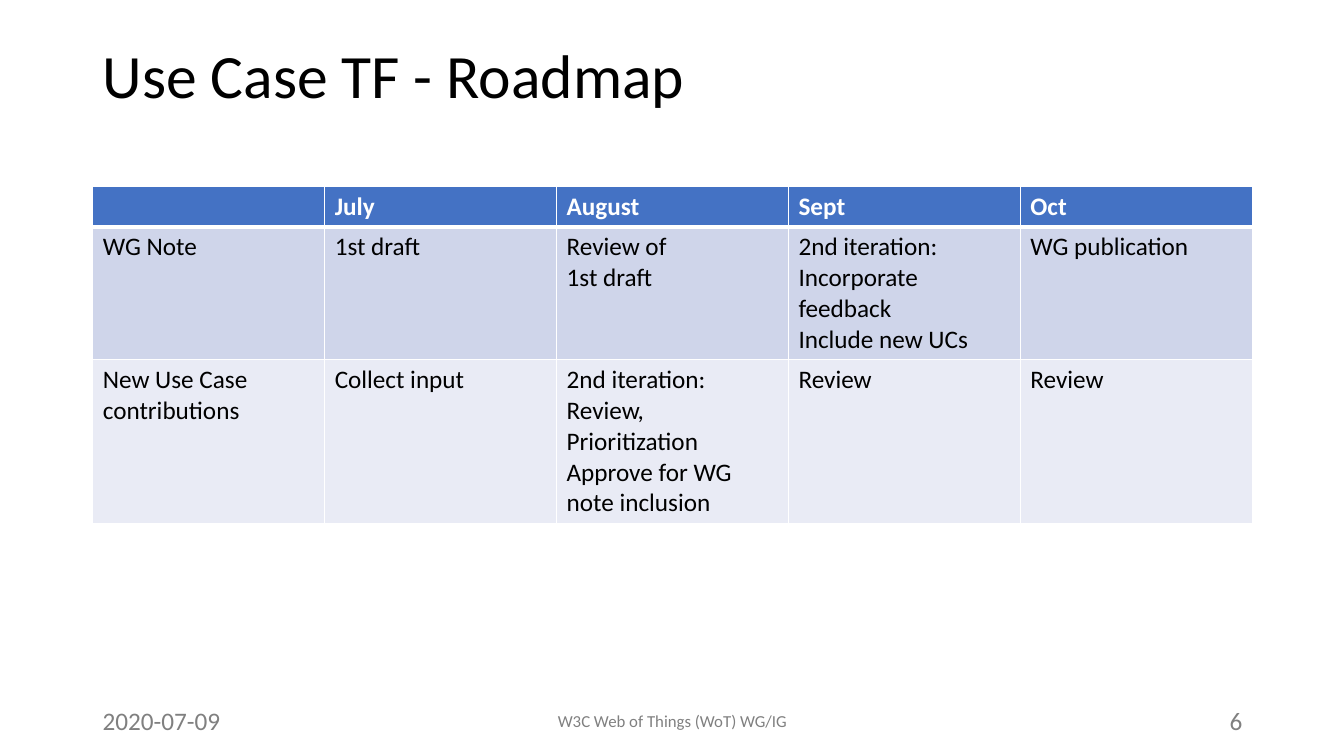
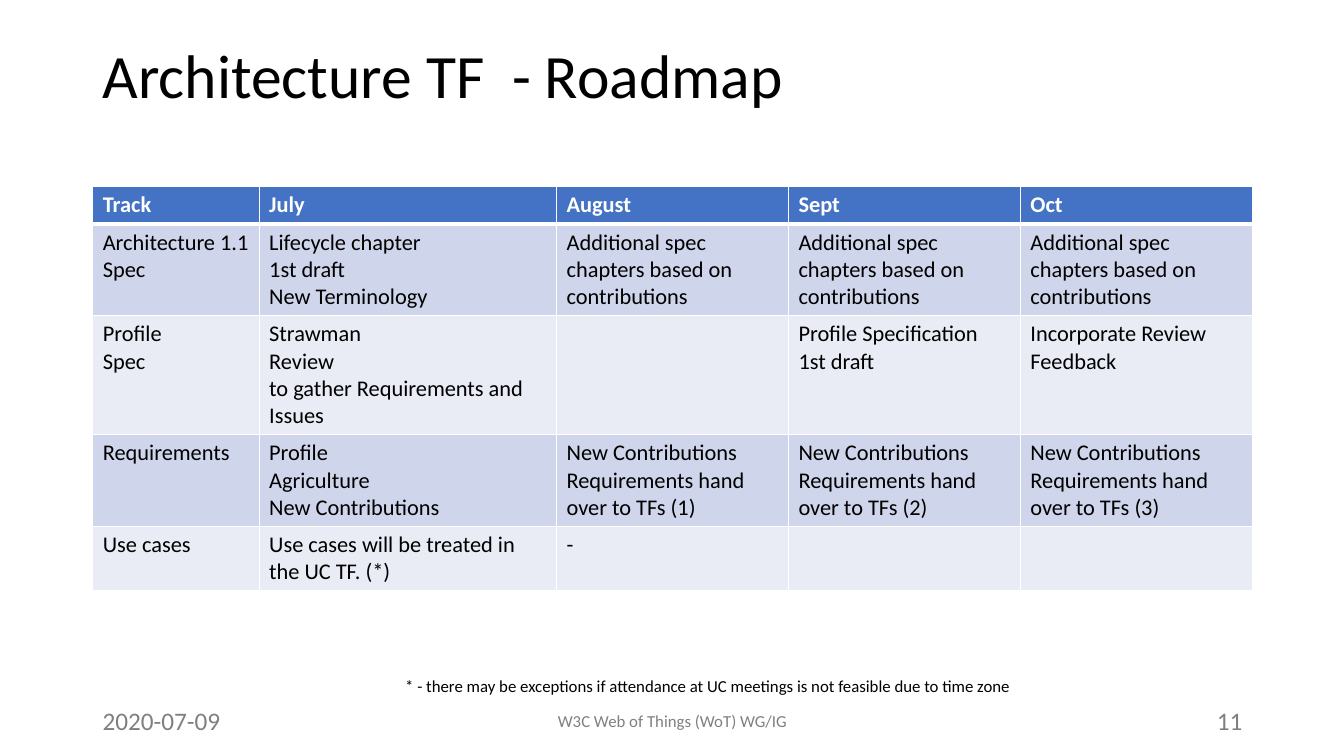
import pptx
import pptx.util
import pptx.dml.color
import pptx.enum.text
import pptx.oxml
import pptx.oxml.ns

Inches = pptx.util.Inches
Pt = pptx.util.Pt
RGBColor = pptx.dml.color.RGBColor
ALIGN = pptx.enum.text.PP_ALIGN
ANCHOR = pptx.enum.text.MSO_ANCHOR

# Shared look
FONT = "Calibri"
BLACK = RGBColor(0x00, 0x00, 0x00)
WHITE = RGBColor(0xFF, 0xFF, 0xFF)
GREY = RGBColor(0x80, 0x80, 0x80)
BLUE = RGBColor(0x44, 0x72, 0xC4)
BANDS = (RGBColor(0xCF, 0xD5, 0xEA), RGBColor(0xE9, 0xEB, 0xF5))
LEFT, WIDTH = 0.92, 11.5
FOOT_TOP, FOOT_HIGH = 6.95, 0.4

# Roadmap content: a line break in a cell starts a new paragraph
MONTHS = ["July", "August", "Sept", "Oct"]
USE_CASE = [
    [""] + MONTHS,
    ["WG Note", "1st draft", "Review of\n1st draft",
     "2nd iteration:\nIncorporate feedback\nInclude new UCs", "WG publication"],
    ["New Use Case contributions", "Collect input",
     "2nd iteration:\nReview, Prioritization\nApprove for WG note inclusion",
     "Review", "Review"],
]
EXTRA = "Additional spec chapters based on contributions"
HANDOVER = "New Contributions\nRequirements hand over to TFs ({})"
ARCHITECTURE = [
    ["Track"] + MONTHS,
    ["Architecture 1.1 Spec", "Lifecycle chapter\n1st draft\nNew Terminology"]
    + [EXTRA] * 3,
    ["Profile\nSpec", "Strawman\nReview\nto gather Requirements and\nIssues", "",
     "Profile Specification\n1st draft", "Incorporate Review Feedback"],
    ["Requirements", "Profile\nAgriculture\nNew Contributions"]
    + [HANDOVER.format(n) for n in (1, 2, 3)],
    ["Use cases", "Use cases will be treated in the UC TF. (*)", "-", "", ""],
]
FOOTNOTE = ("* - there may be exceptions if attendance at UC meetings "
            "is not feasible due to time zone")


def write(frame, text, size, color, bold=False, align=ALIGN.LEFT, spacing=1.0):
    """Fill a text frame, one paragraph per line."""
    for i, line in enumerate(text.split("\n")):
        para = frame.add_paragraph() if i else frame.paragraphs[0]
        para.alignment = align
        para.line_spacing = spacing
        run = para.add_run()
        run.text = line
        run.font.name = FONT
        run.font.size = Pt(size)
        run.font.bold = bold
        run.font.color.rgb = color


def add_text(slide, box, text, size, color, anchor=ANCHOR.TOP, **style):
    frame = slide.shapes.add_textbox(*map(Inches, box)).text_frame
    frame.word_wrap = True
    frame.vertical_anchor = anchor
    write(frame, text, size, color, **style)


def set_borders(cell, header):
    """White borders; the header has a thicker bottom edge."""
    props = cell._tc.get_or_add_tcPr()
    # Border elements must come before the fill
    for i, side in enumerate(("lnL", "lnR", "lnT", "lnB")):
        width = Pt(3 if header and side == "lnB" else 1)
        props.insert(i, pptx.oxml.parse_xml(
            f'<a:{side} {pptx.oxml.ns.nsdecls("a")} w="{width}"><a:solidFill>'
            f'<a:srgbClr val="{WHITE}"/></a:solidFill></a:{side}>'))


def add_roadmap(slide, rows, widths, heights, size):
    box = map(Inches, (LEFT, 1.85, sum(widths), sum(heights)))
    table = slide.shapes.add_table(len(rows), len(widths), *box).table
    for column, width in zip(table.columns, widths):
        column.width = Inches(width)
    for r, (texts, height) in enumerate(zip(rows, heights)):
        table.rows[r].height = Inches(height)
        header = r == 0
        for c, text in enumerate(texts):
            cell = table.cell(r, c)
            cell.fill.solid()
            cell.fill.fore_color.rgb = BLUE if header else BANDS[(r - 1) % 2]
            set_borders(cell, header)
            if text:
                write(cell.text_frame, text, size,
                      WHITE if header else BLACK, bold=header)


def add_page(deck, title, number):
    """Blank slide with the shared title and footer."""
    slide = deck.slides.add_slide(deck.slide_layouts[6])
    add_text(slide, (LEFT, 0.4, WIDTH, 1.45), title, 44, BLACK, spacing=0.9)
    footer = (
        (LEFT, 3, "2020-07-09", 18, ALIGN.LEFT),
        (4.42, 4.5, "W3C Web of Things (WoT) WG/IG", 12, ALIGN.CENTER),
        (9.42, 3, str(number), 18, ALIGN.RIGHT),
    )
    for left, width, text, size, align in footer:
        add_text(slide, (left, FOOT_TOP, width, FOOT_HIGH), text, size, GREY,
                 anchor=ANCHOR.MIDDLE, align=align)
    return slide


def main():
    deck = pptx.Presentation()
    deck.slide_width = Inches(13.33)
    deck.slide_height = Inches(7.5)

    # Use case roadmap
    slide = add_page(deck, "Use Case TF - Roadmap", 6)
    add_roadmap(slide, USE_CASE, [2.3] * 5, [0.4, 1.32, 1.62], 18)

    # Architecture roadmap
    slide = add_page(deck, "Architecture TF  - Roadmap", 11)
    add_roadmap(slide, ARCHITECTURE, [1.65, 2.95] + [2.3] * 3,
                [0.37, 0.91, 1.18, 0.91, 0.64], 16)
    add_text(slide, (3.92, 6.65, 6.28, 0.3), FOOTNOTE, 12, BLACK)

    deck.save("out.pptx")


if __name__ == "__main__":
    main()
